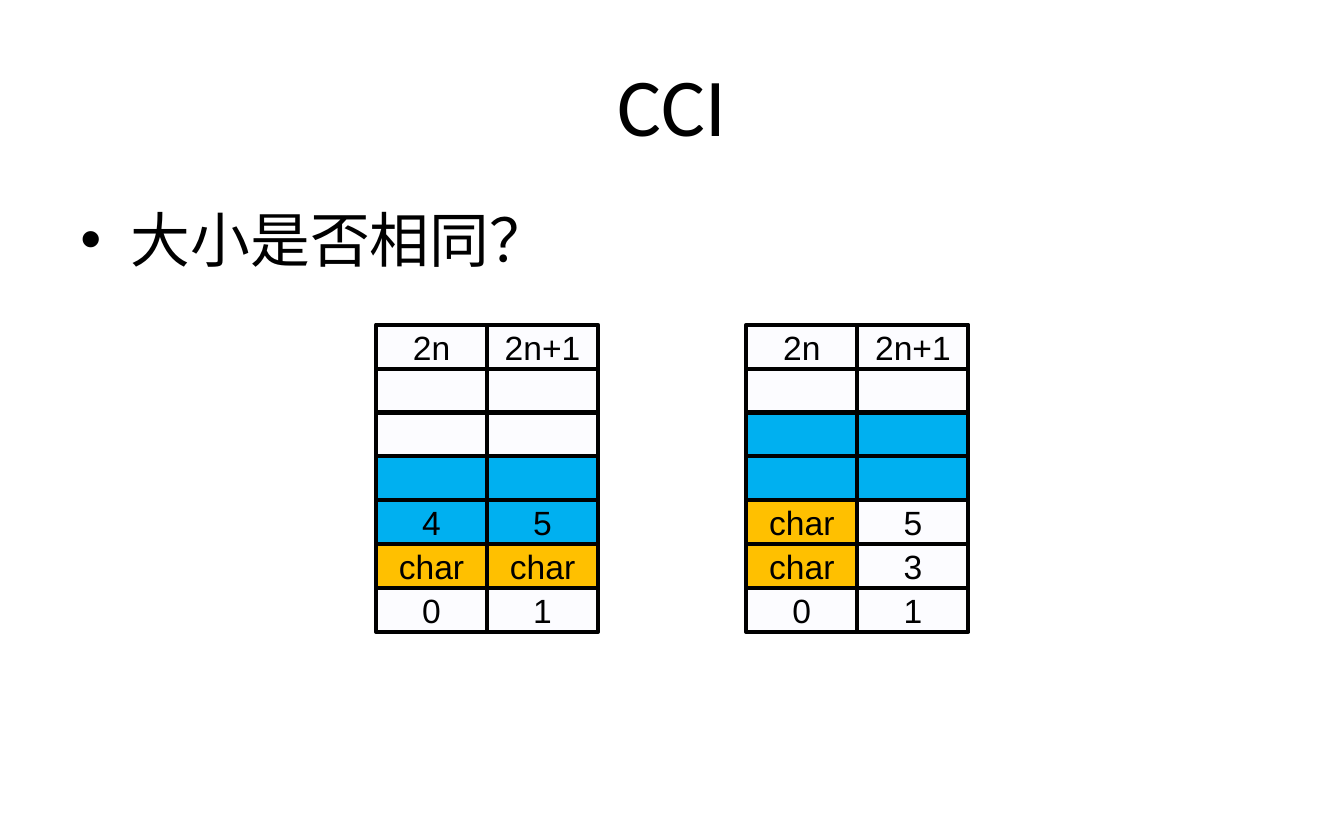
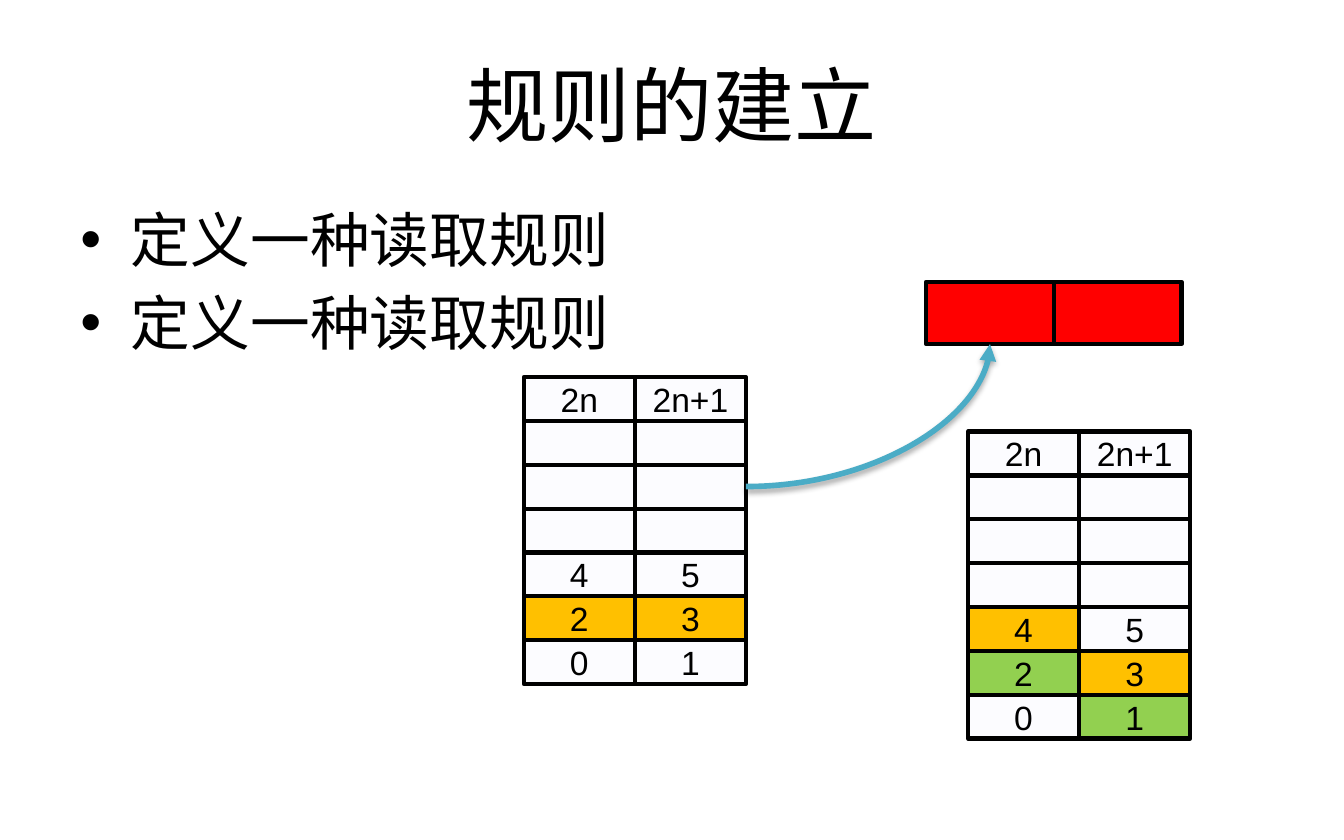
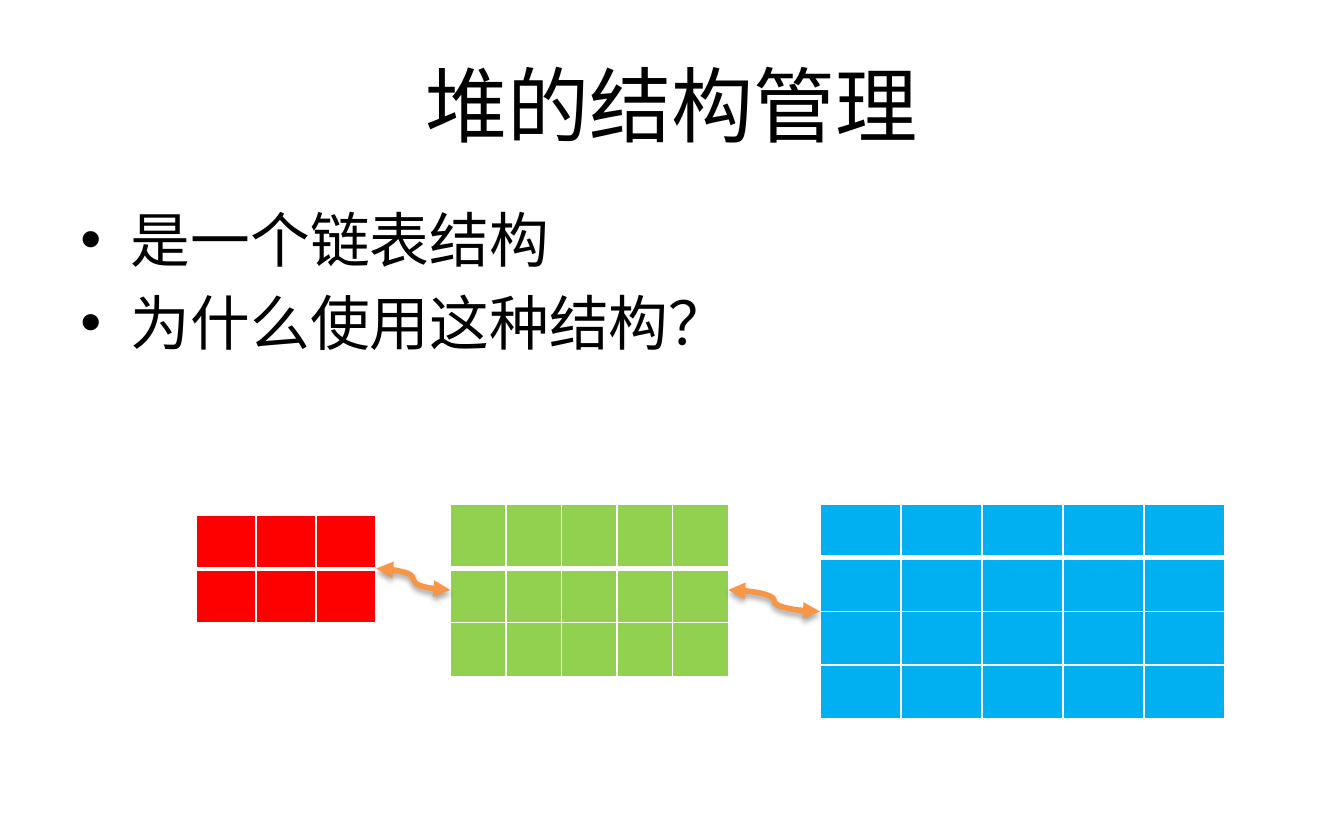
"""Build three slides on memory layout: alignment, read rules and the heap list."""
from dataclasses import dataclass

from lxml import etree
from pptx import Presentation
from pptx import util as u
from pptx.dml.color import RGBColor
from pptx.enum import shapes, text
from pptx.oxml import ns

Pt = u.Pt


@dataclass(frozen=True)
class Theme:
    ink: str = "000000"
    white: str = "FFFFFF"
    pale: str = "FCFCFF"
    blue: str = "00B0F0"
    amber: str = "FFC000"
    green: str = "92D050"
    red: str = "FF0000"
    teal: str = "4BACC6"
    orange: str = "F79646"
    font: str = "Calibri"
    cell_font: str = "Arial"
    title_size: int = 44
    body_size: int = 32
    cell_size: int = 18


T = Theme()
BYTE_W, BYTE_H = 59.5, 23.5
HEADER = ("2n", "2n+1")
BLANK = ("", "")


def sub(parent, tag, **attrs):
    el = etree.SubElement(parent, ns.qn(tag))
    for key, value in attrs.items():
        el.set(key, str(value))
    return el


def paint(fill, color):
    fill.solid()
    fill.fore_color.rgb = RGBColor.from_string(color)


def write(tf, content, size=T.body_size, font=T.font, color=T.ink, align=None,
          anchor=text.MSO_ANCHOR.TOP, wrap=True, bullet=False):
    tf.word_wrap = wrap
    tf.vertical_anchor = anchor
    for i, line in enumerate(content.split("\n")):
        p = tf.add_paragraph() if i else tf.paragraphs[0]
        p.alignment = align
        if bullet:
            p.space_before = Pt(size * 0.2)
            pPr = p._p.get_or_add_pPr()
            pPr.set("marL", str(Pt(27)))
            pPr.set("indent", str(-Pt(27)))
            sub(pPr, "a:buFont", typeface=T.cell_font)
            sub(pPr, "a:buChar", char="•")
        r = p.add_run()
        r.text = line
        r.font.size = Pt(size)
        r.font.name = font
        r.font.color.rgb = RGBColor.from_string(color)


class Deck:
    def __init__(self):
        self.prs = Presentation()
        self.prs.slide_width, self.prs.slide_height = Pt(720), Pt(450)
        self.s = None

    def slide(self, title, *points):
        self.s = self.prs.slides.add_slide(self.prs.slide_layouts[6])
        self.text_box(18, 75, title, size=T.title_size, align=text.PP_ALIGN.CENTER,
                      anchor=text.MSO_ANCHOR.MIDDLE)
        self.text_box(105, 297, "\n".join(points), bullet=True)

    def text_box(self, y, h, content, **style):
        sp = self.s.shapes.add_textbox(Pt(36), Pt(y), Pt(648), Pt(h))
        write(sp.text_frame, content, **style)

    def cells(self, x, y, rows, fills=None, base=T.pale, w=BYTE_W, h=BYTE_H):
        group = self.s.shapes.add_group_shape()
        for i, row in enumerate(rows):
            for j, label in enumerate(row):
                sp = group.shapes.add_shape(shapes.MSO_SHAPE.RECTANGLE, Pt(x + j * w),
                                            Pt(y + i * h), Pt(w), Pt(h))
                sp.shadow.inherit = False
                paint(sp.fill, (fills or {}).get((i, j), base))
                paint(sp.line.fill, T.ink)
                sp.line.width = Pt(2.25)
                if label:
                    write(sp.text_frame, label, size=T.cell_size, font=T.cell_font,
                          align=text.PP_ALIGN.CENTER, anchor=text.MSO_ANCHOR.MIDDLE,
                          wrap=False)

    def table(self, x, y, col_w, cols, heights, color):
        frame = self.s.shapes.add_table(len(heights), cols, Pt(x), Pt(y),
                                        Pt(col_w * cols), Pt(sum(heights)))
        table = frame.table
        for col in table.columns:
            col.width = Pt(col_w)
        for i, height in enumerate(heights):
            table.rows[i].height = Pt(height)
            for cell in table.rows[i].cells:
                cell.margin_top = cell.margin_bottom = 0
                self.borders(cell, top=3 if i == 1 else 1, bottom=1 if i else 3)
                paint(cell.fill, color)

    def borders(self, cell, top, bottom):
        tcPr = cell._tc.get_or_add_tcPr()
        for side, width in zip("LRTB", (1, 1, top, bottom)):
            ln = sub(tcPr, f"a:ln{side}", w=Pt(width))
            sub(sub(ln, "a:solidFill"), "a:srgbClr", val=T.white)

    def curve(self, start, end, color, preset="curvedConnector3", both_ends=False):
        c = self.s.shapes.add_connector(shapes.MSO_CONNECTOR.CURVE,
                                        *(Pt(v) for v in start + end))
        paint(c.line.fill, color)
        c.line.width = Pt(3)
        spPr = c._element.spPr
        spPr.find(ns.qn("a:prstGeom")).set("prst", preset)
        ln = spPr.find(ns.qn("a:ln"))
        if both_ends:
            sub(ln, "a:headEnd", type="triangle")
        sub(ln, "a:tailEnd", type="triangle")
        shadow = sub(sub(spPr, "a:effectLst"), "a:outerShdw", blurRad=Pt(3.1),
                     dist=Pt(1.8), dir=5400000, rotWithShape=0)
        sub(sub(shadow, "a:srgbClr", val=T.ink), "a:alpha", val=35000)


def alignment_slide(deck):
    deck.slide("CCI", "大小是否相同？")
    deck.cells(201.4, 174,
               [HEADER, BLANK, BLANK, BLANK, ("4", "5"), ("char", "char"), ("0", "1")],
               {(3, 0): T.blue, (3, 1): T.blue, (4, 0): T.blue, (4, 1): T.blue,
                (5, 0): T.amber, (5, 1): T.amber})
    deck.cells(399.8, 174,
               [HEADER, BLANK, BLANK, BLANK, ("char", "5"), ("char", "3"), ("0", "1")],
               {(2, 0): T.blue, (2, 1): T.blue, (3, 0): T.blue, (3, 1): T.blue,
                (4, 0): T.amber, (5, 0): T.amber})


def read_rule_slide(deck):
    deck.slide("规则的建立", "定义一种读取规则", "定义一种读取规则")
    memory = [HEADER, BLANK, BLANK, BLANK, ("4", "5"), ("2", "3"), ("0", "1")]
    deck.cells(280.6, 202, memory, {(5, 0): T.amber, (5, 1): T.amber})
    deck.cells(496, 151, [BLANK], base=T.red, w=68.5, h=33.2)
    deck.curve((399.6, 260.7), (530.4, 184.4), T.teal, preset="curvedConnector2")
    deck.cells(518.6, 231.2, memory, {(4, 0): T.amber, (5, 0): T.green,
                                      (5, 1): T.amber, (6, 1): T.green})


def heap_slide(deck):
    deck.slide("堆的结构管理", "是一个链表结构", "为什么使用这种结构？")
    row = 28.8
    deck.table(105.3, 276, 32, 3, [row] * 2, T.red)
    deck.table(241.2, 270, 29.8, 5, [34.8, row, row], T.green)
    deck.table(439.3, 270, 43.4, 5, [row] * 4, T.blue)
    deck.curve((201.6, 304.6), (241.2, 316.1), T.orange, both_ends=True)
    deck.curve((390.2, 316.1), (439.2, 327.6), T.orange, both_ends=True)


def main():
    deck = Deck()
    alignment_slide(deck)
    read_rule_slide(deck)
    heap_slide(deck)
    deck.prs.save("out.pptx")


if __name__ == "__main__":
    main()
